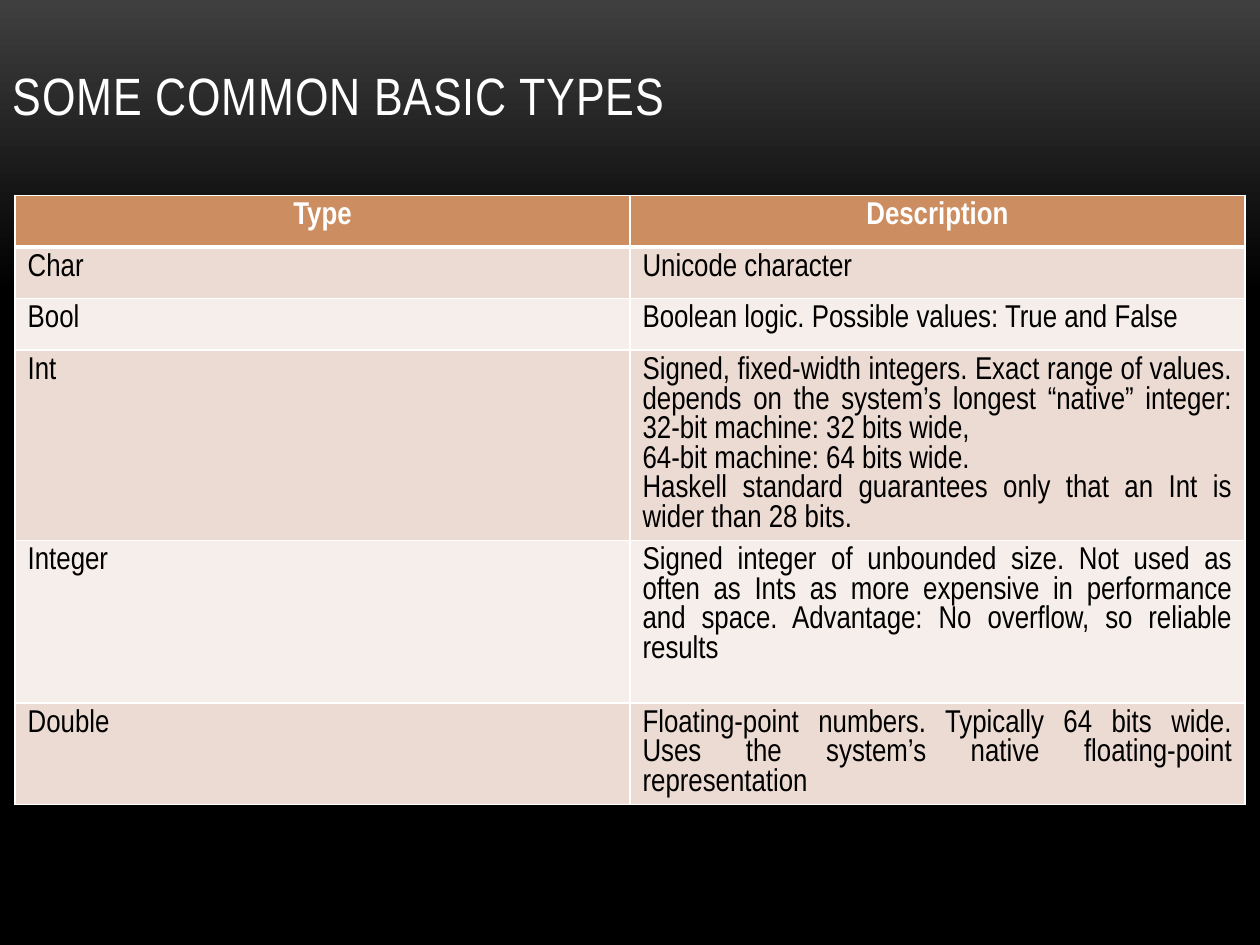
from copy import deepcopy

from lxml.etree import SubElement
from pptx import Presentation
from pptx.dml.color import RGBColor
from pptx.enum.text import MSO_ANCHOR as Anchor, PP_ALIGN as Align
from pptx.oxml.ns import qn
from pptx.util import Inches, Pt

COLORS = {
    "white": "FFFFFF", "black": "000000", "gray": "3F3F3F",
    "head": "CC8E60", "odd": "ECDBD2", "even": "F6EEEA",
}
HEAD = {"name": "Arial Narrow", "size": Pt(18), "bold": True}
BODY = {**HEAD, "bold": False}
TITLE = {**BODY, "size": Pt(30)}

ROWS = [
    ("Type", ["Description"], 0.41),
    ("Char", ["Unicode character"], 0.41),
    ("Bool", ["Boolean logic. Possible values: True and False"], 0.41),
    ("Int", [
        "Signed, fixed-width integers. Exact range of values. depends on the "
        "system’s longest “native” integer: 32-bit machine: 32 bits wide,",
        "64-bit machine: 64 bits wide.",
        "Haskell standard guarantees only that an Int is wider than 28 bits.",
    ], 1.51),
    ("Integer", [
        "Signed integer of unbounded size. Not used as often as Ints as more "
        "expensive in performance and space. Advantage: No overflow, "
        "so reliable results",
    ], 1.29),
    ("Double", [
        "Floating-point numbers. Typically 64 bits wide. Uses the system’s "
        "native floating-point representation",
    ], 0.8),
]


def tint(name):
    return RGBColor.from_string(COLORS[name])


def style(font, look, color):
    for key, value in look.items():
        setattr(font, key, value)
    font.color.rgb = tint(color)


def paint_back(slide):
    fill = slide.background.fill
    fill.gradient()
    fill.gradient_angle = 270
    first = fill.gradient_stops[0]
    first.color.rgb = tint("gray")
    first.position = 0
    last = fill.gradient_stops[1]
    last.color.rgb = tint("black")
    last.position = 1
    stops = slide.background._cSld.find(".//" + qn("a:gsLst"))
    mid = deepcopy(stops[-1])
    mid.set("pos", "31000")
    stops.insert(1, mid)


def place_title(slide, left, top, width, height):
    title = slide.shapes.title
    box = {"left": left, "top": top, "width": width, "height": height}
    for key, value in box.items():
        setattr(title, key, Inches(value))
    frame = title.text_frame
    frame.text = "SOME COMMON BASIC TYPES"
    frame.vertical_anchor = Anchor.BOTTOM
    para = frame.paragraphs[0]
    para.alignment = Align.LEFT
    run = para.runs[0]
    style(run.font, TITLE, "white")
    run.font._element.set("spc", "50")


def edge_cell(cell, widths):
    props = cell._tc.get_or_add_tcPr()
    for side, width in widths.items():
        line = SubElement(props, qn("a:ln" + side), w=str(Pt(width)))
        fill = SubElement(line, qn("a:solidFill"))
        SubElement(fill, qn("a:srgbClr"), val=COLORS["white"])


def fill_cell(cell, lines, row, align):
    head = row == 0
    edge_cell(cell, {"L": 1, "R": 1, "T": 3 if row == 1 else 1,
                     "B": 3 if head else 1})
    cell.fill.solid()
    band = "head" if head else "odd" if row % 2 else "even"
    cell.fill.fore_color.rgb = tint(band)
    cell.text = "\n".join(lines)
    for para in cell.text_frame.paragraphs:
        para.alignment = Align.CENTER if head else align
        style(para.runs[0].font, HEAD if head else BODY,
              "white" if head else "black")


def place_table(slide, left, top, width):
    height = sum(row[2] for row in ROWS)
    box = [Inches(n) for n in (left, top, width, height)]
    table = slide.shapes.add_table(len(ROWS), 2, *box).table
    for col in table.columns:
        col.width = Inches(width / 2)
    for i, (name, lines, tall) in enumerate(ROWS):
        table.rows[i].height = Inches(tall)
        fill_cell(table.cell(i, 0), [name], i, Align.LEFT)
        fill_cell(table.cell(i, 1), lines, i, Align.JUSTIFY)


def main():
    deck = Presentation()
    deck.slide_width, deck.slide_height = Inches(10), Inches(7.5)
    slide = deck.slides.add_slide(deck.slide_layouts[5])
    paint_back(slide)
    place_title(slide, 0, 0.21, 10, 0.84)
    place_table(slide, 0.12, 1.55, 9.76)
    deck.save("out.pptx")


if __name__ == "__main__":
    main()
